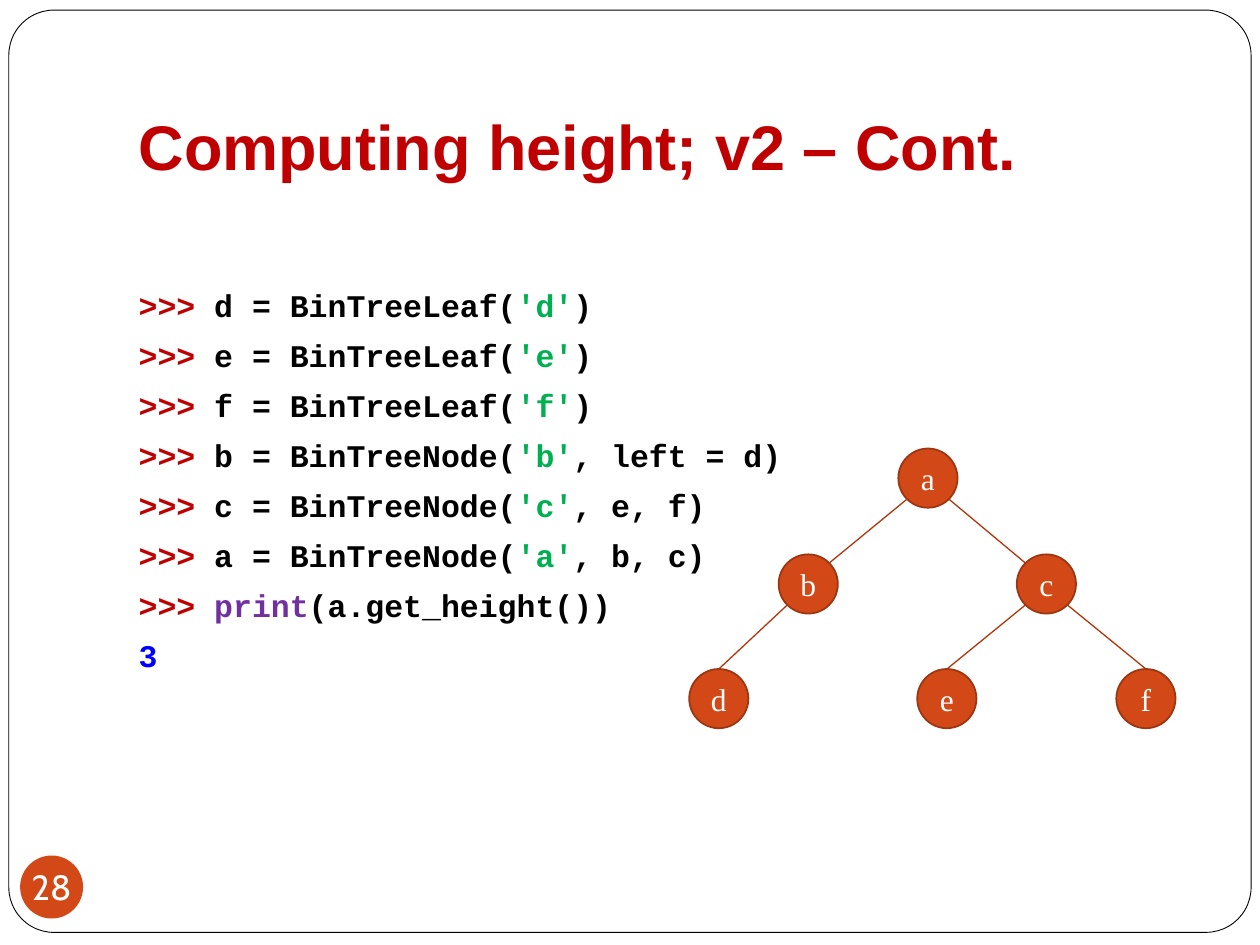
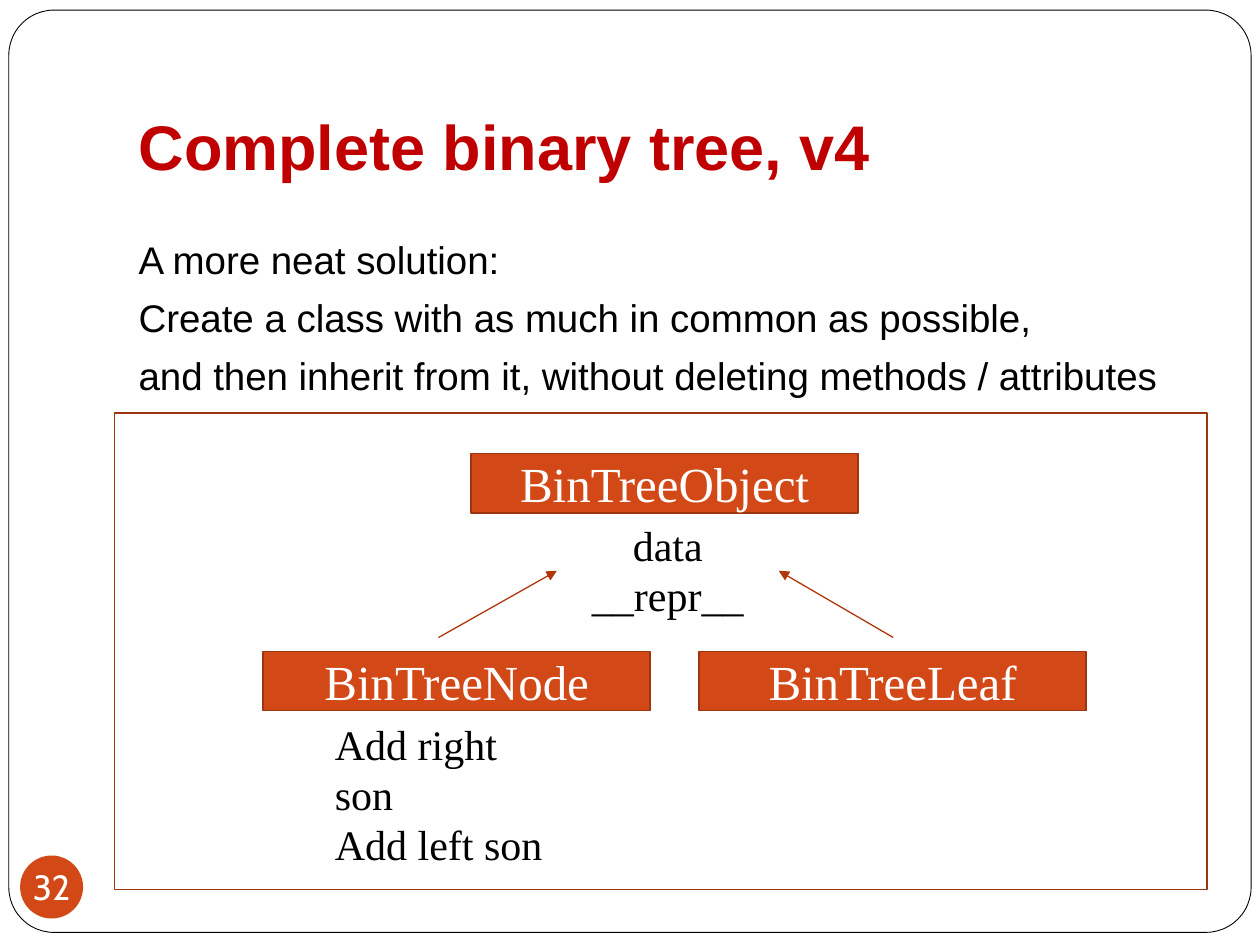
"""Build two lecture slides on binary trees: computing height and a class hierarchy."""
import dataclasses

import lxml.etree
import pptx
import pptx.dml.color
import pptx.enum.shapes
import pptx.enum.text
import pptx.oxml.ns
import pptx.util

Inches = pptx.util.Inches
Pt = pptx.util.Pt
Shape = pptx.enum.shapes.MSO_SHAPE
Align = pptx.enum.text.PP_ALIGN
Anchor = pptx.enum.text.MSO_ANCHOR


@dataclasses.dataclass(frozen=True)
class Theme:
    accent: str = "D34817"
    outline: str = "9C3511"
    edge: str = "B1360B"
    heading: str = "C00000"
    ink: str = "000000"
    paper: str = "FFFFFF"
    string: str = "00B050"
    builtin: str = "7030A0"
    output: str = "0000FF"
    sans: str = "Arial"
    serif: str = "Times New Roman"
    mono: str = "Courier New"
    badge: str = "Cabin"
    title_size: int = 36
    class_size: int = 28
    member_size: int = 24
    list_size: int = 22
    badge_size: int = 20
    code_size: int = 18
    list_gap: int = 7


def rgb(color):
    return pptx.dml.color.RGBColor.from_string(color)


class Deck:
    def __init__(self, theme):
        self.theme = theme
        self.presentation = pptx.Presentation()
        self.presentation.slide_width = Inches(10)
        self.presentation.slide_height = Inches(7.5)

    def new_slide(self, title, number):
        theme = self.theme
        self.slide = self.presentation.slides.add_slide(self.presentation.slide_layouts[1])
        self.shapes = self.slide.shapes
        frame = self.shape(Shape.ROUNDED_RECTANGLE, (0.07, 0.08, 9.86, 7.32),
                           theme.paper, theme.ink, 0.5)
        frame.adjustments[0] = 0.049
        self.shapes._spTree.insert(2, frame._element)
        heading = self.place(self.shapes.title, (1, 0.3, 8.5, 1.25))
        heading.vertical_anchor = Anchor.BOTTOM
        heading.margin_bottom = Inches(0.1)
        self.add_lines(heading, [[(title, theme.heading)]], theme.sans, theme.title_size, bold=True)
        badge = self.shape(Shape.OVAL, (0.16, 6.79, 0.5, 0.5), theme.accent)
        self.label(badge, str(number), theme.badge, theme.badge_size)

    def start_group(self):
        self.shapes = self.slide.shapes.add_group_shape().shapes

    def place(self, holder, box):
        holder.left, holder.top, holder.width, holder.height = map(Inches, box)
        frame = holder.text_frame
        frame.auto_size = pptx.enum.text.MSO_AUTO_SIZE.NONE
        return frame

    def add_lines(self, frame, lines, font, size, bold=False, align=Align.LEFT, gap=0):
        frame.word_wrap = True
        for index, runs in enumerate(lines):
            paragraph = frame.paragraphs[0] if index == 0 else frame.add_paragraph()
            paragraph.alignment = align
            paragraph.space_before = Pt(gap if index else 0)
            for text, color in runs:
                run = paragraph.add_run()
                run.text = text
                run.font.name = font
                run.font.size = Pt(size)
                run.font.bold = bold
                run.font.color.rgb = rgb(color)

    def body(self, box, lines, font, size, bold=False):
        frame = self.place(self.slide.placeholders[1], box)
        self.add_lines(frame, lines, font, size, bold, gap=self.theme.list_gap)
        for paragraph in frame.paragraphs:
            properties = paragraph._p.get_or_add_pPr()
            properties.set("marL", "0")
            properties.set("indent", "0")
            lxml.etree.SubElement(properties, pptx.oxml.ns.qn("a:buNone"))

    def shape(self, kind, box, fill, outline=None, width=1):
        shape = self.shapes.add_shape(kind, *map(Inches, box))
        shape.shadow.inherit = False
        shape.fill.solid()
        shape.fill.fore_color.rgb = rgb(fill)
        if outline:
            shape.line.color.rgb = rgb(outline)
            shape.line.width = Pt(width)
        else:
            shape.line.fill.background()
        return shape

    def label(self, shape, text, font, size):
        frame = shape.text_frame
        frame.margin_left = frame.margin_right = frame.margin_top = frame.margin_bottom = 0
        frame.vertical_anchor = Anchor.MIDDLE
        self.add_lines(frame, [[(text, self.theme.paper)]], font, size, align=Align.CENTER)

    def labelled(self, kind, box, text, size):
        shape = self.shape(kind, box, self.theme.accent, self.theme.outline)
        self.label(shape, text, self.theme.serif, size)

    def members(self, box, names, align):
        frame = self.shapes.add_textbox(*map(Inches, box)).text_frame
        self.add_lines(frame, [[(name, self.theme.ink)] for name in names],
                       self.theme.serif, self.theme.member_size, align=align)

    def edge(self, start, end, arrow=False):
        line = self.shapes.add_connector(pptx.enum.shapes.MSO_CONNECTOR.STRAIGHT,
                                         *map(Inches, (*start, *end)))
        line.line.color.rgb = rgb(self.theme.edge)
        line.line.width = Pt(0.75)
        if arrow:
            head = lxml.etree.SubElement(line.line._get_or_add_ln(), pptx.oxml.ns.qn("a:headEnd"))
            head.set("type", "triangle")
        lxml.etree.SubElement(line._element.spPr, pptx.oxml.ns.qn("a:effectLst"))


def height_slide(deck):
    theme = deck.theme
    deck.new_slide("Computing height; v2 – Cont.", 28)
    assignments = [("d", "BinTreeLeaf", ")"), ("e", "BinTreeLeaf", ")"),
                   ("f", "BinTreeLeaf", ")"), ("b", "BinTreeNode", ", left = d)"),
                   ("c", "BinTreeNode", ", e, f)"), ("a", "BinTreeNode", ", b, c)")]
    session = [[(">>>", theme.heading), (f" {name} = {kind}(", theme.ink),
                (f"'{name}'", theme.string), (rest, theme.ink)]
               for name, kind, rest in assignments]
    session.append([(">>> ", theme.heading), ("print", theme.builtin),
                    ("(a.get_height())", theme.ink)])
    session.append([("3", theme.output)])
    deck.body((1, 2.22, 5.42, 3.23), session, theme.mono, theme.code_size, bold=True)

    diameter = 0.47
    radius = diameter / 2
    diagonal = radius * 0.71
    nodes = {"a": (7.13, 3.56), "b": (6.18, 4.4), "c": (8.07, 4.4),
             "d": (5.47, 5.31), "e": (7.28, 5.31), "f": (8.86, 5.31)}
    for name, corner in nodes.items():
        deck.labelled(Shape.OVAL, (*corner, diameter, diameter), name, theme.code_size)
    for parent, child in ("ab", "ac", "bd", "ce", "cf"):
        (parent_x, parent_y), (child_x, child_y) = (
            (x + radius, y + radius) for x, y in (nodes[parent], nodes[child]))
        side = diagonal if child_x > parent_x else -diagonal
        top = ((child_x - side, child_y - diagonal) if parent == "a"
               else (child_x, child_y - radius))
        deck.edge(top, (parent_x + side, parent_y + diagonal))


def hierarchy_slide(deck):
    theme = deck.theme
    deck.new_slide("Complete binary tree, v4", 32)
    solution = ["A more neat solution:",
                "Create a class with as much in common as possible,",
                "and then inherit from it, without deleting methods / attributes"]
    deck.body((1, 1.82, 8.5, 5.47), [[(line, theme.ink)] for line in solution],
              theme.sans, theme.list_size)
    deck.start_group()
    deck.shape(Shape.RECTANGLE, (0.91, 3.28, 8.67, 3.78), theme.paper, theme.outline)
    for name, left, top in (("BinTreeObject", 3.74, 3.6), ("BinTreeNode", 2.09, 5.17),
                            ("BinTreeLeaf", 5.55, 5.17)):
        deck.labelled(Shape.RECTANGLE, (left, top, 3.07, 0.47), name, theme.class_size)
    deck.members((4.42, 4.07, 1.76, 0.91), ["data", "__repr__"], Align.CENTER)
    deck.members((2.56, 5.65, 1.86, 0.91), ["Add right son", "Add left son"], Align.LEFT)
    for parent_x, child_x in ((4.42, 3.48), (6.18, 7.09)):
        deck.edge((parent_x, 4.53), (child_x, 5.06), arrow=True)


def main():
    deck = Deck(Theme())
    height_slide(deck)
    hierarchy_slide(deck)
    deck.presentation.save("out.pptx")


if __name__ == "__main__":
    main()
